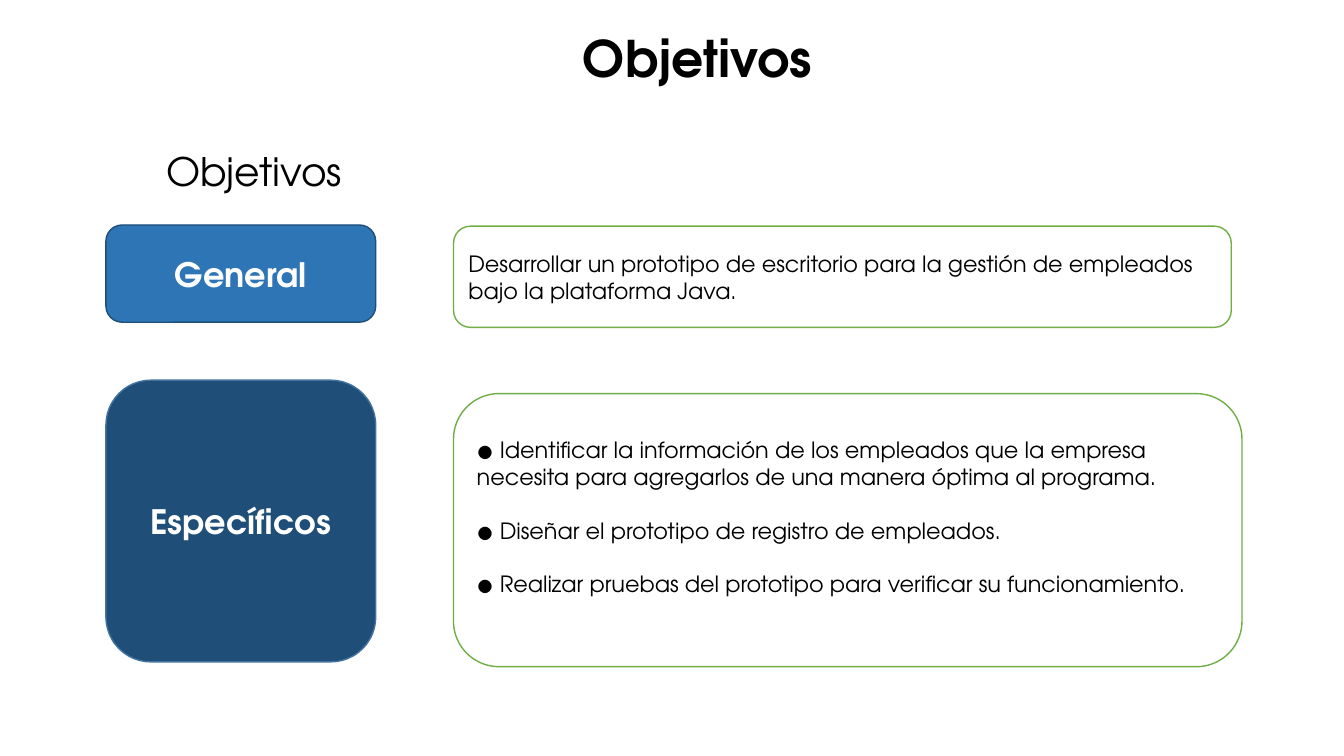
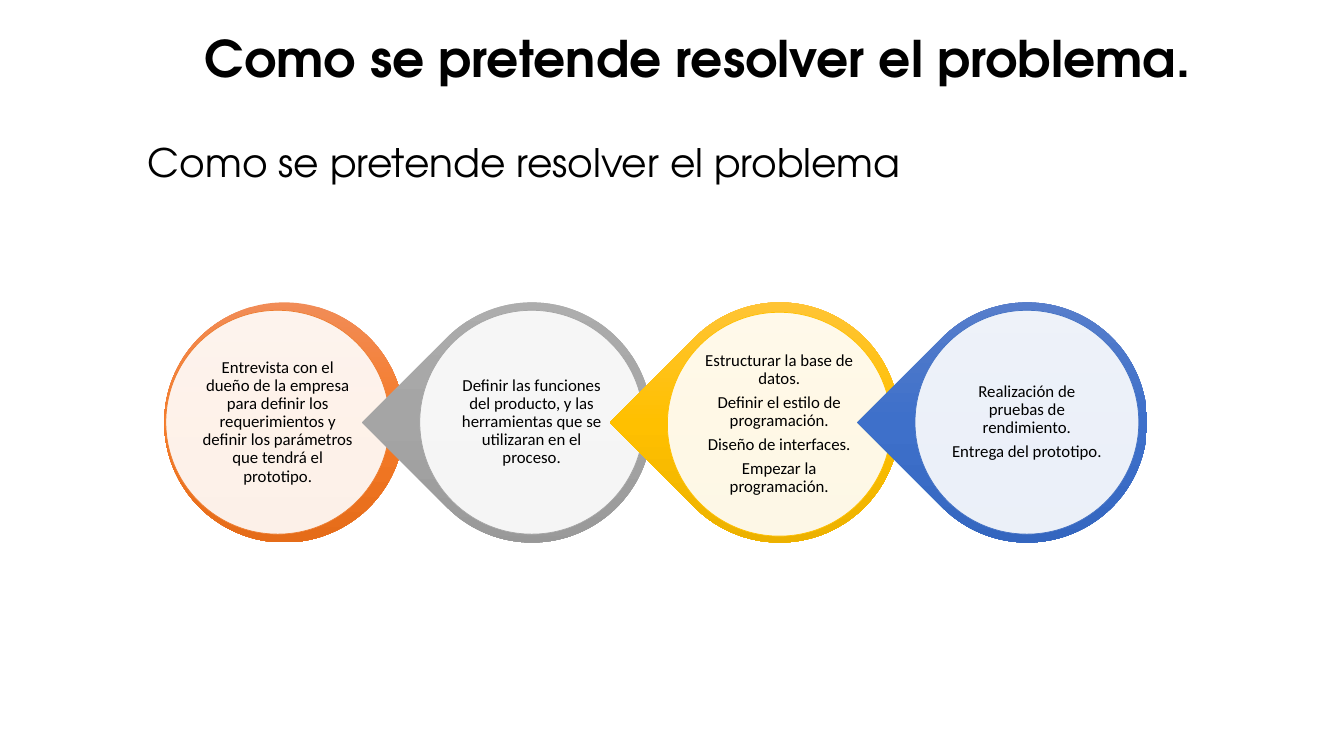
from copy import deepcopy

from lxml import etree
from pptx import Presentation
from pptx.dml.color import RGBColor
from pptx.enum.shapes import MSO_SHAPE
from pptx.enum.text import MSO_ANCHOR, PP_ALIGN
from pptx.oxml.ns import qn
from pptx.util import Cm, Pt

ROUNDED = MSO_SHAPE.ROUNDED_RECTANGLE
OVAL = MSO_SHAPE.OVAL
TEAR = MSO_SHAPE.TEAR
TOP = MSO_ANCHOR.TOP
MIDDLE = MSO_ANCHOR.MIDDLE
LEFT = PP_ALIGN.LEFT
CENTER = PP_ALIGN.CENTER

HEADING_FONT = "TeX Gyre Adventor"
STAGE_FONT = "Calibri"

COLORS = {
    "text": "000000",
    "white": "FFFFFF",
    "general": "2E75B6",
    "general_line": "1F4E79",
    "specific": "1F4E79",
    "specific_line": "43739E",
    "green": "70AD47",
    "orange": "ED7D31",
    "gray": "A5A5A5",
    "yellow": "FFC000",
    "blue": "4472C4",
}
GRADIENTS = {
    "orange": ("F18C57", "F67B28", "E56C19"),
    "gray": ("AFAFAF", "A5A5A5", "939393"),
    "yellow": ("FFC64B", "FFC000", "E3AB00"),
    "blue": ("6183CB", "3E70CA", "3062BB"),
}

# Stage chain geometry in cm
STAGE_LEFT, STAGE_TOP, STAGE_PITCH = 4.14, 7.62, 6.24
OUTER_SIZE, INNER_SIZE = 6.05, 5.64
RING = 0.2

# Colour, horizontal and vertical shift of the inner disc, texts
STAGES = [
    ("orange", -0.16, 0, [
        "Entrevista con el dueño de la empresa para definir los requerimientos "
        "y definir los parámetros que tendrá el prototipo."]),
    ("gray", 0, 0, [
        "Definir las funciones del producto, y las herramientas que se "
        "utilizaran en el proceso."]),
    ("yellow", 0, 0.05, [
        "Estructurar la base de datos.",
        "Definir el estilo de programación.",
        "Diseño de interfaces.",
        "Empezar la programación."]),
    ("blue", 0, 0, [
        "Realización de pruebas de rendimiento.",
        "Entrega del prototipo."]),
]


def rgb(name):
    return RGBColor.from_string(COLORS[name])


# Text
def write(shape, texts, size, font=HEADING_FONT, color="text", bold=False,
          align=LEFT, anchor=TOP, gap_before=0, gap_after=0, line_spacing=1.0):
    frame = shape.text_frame
    frame.word_wrap = True
    frame.vertical_anchor = anchor
    for index, text in enumerate(texts):
        paragraph = frame.add_paragraph() if index else frame.paragraphs[0]
        paragraph.alignment = align
        paragraph.line_spacing = line_spacing
        paragraph.space_before = Pt(gap_before if index else 0)
        paragraph.space_after = Pt(gap_after)
        run = paragraph.add_run()
        run.text = text
        run.font.name = font
        run.font.size = Pt(size)
        run.font.bold = bold
        run.font.color.rgb = rgb(color)


def add_text(slide, box, text, size, **style):
    shape = slide.shapes.add_textbox(*map(Cm, box))
    write(shape, [text], size, **style)


def add_slide(presentation, title, subtitle, subtitle_box):
    slide = presentation.slides.add_slide(presentation.slide_layouts[6])
    add_text(slide, (3.33, 0.56, 28.5, 1.8), title, 36, bold=True, align=CENTER)
    add_text(slide, subtitle_box, subtitle, 28)
    return slide


# Shapes
def add_shape(slide, kind, box, fill=None, line=None, line_width=1):
    shape = slide.shapes.add_shape(kind, *map(Cm, box))
    shape.shadow.inherit = False
    if fill:
        shape.fill.solid()
        shape.fill.fore_color.rgb = rgb(fill)
    if line:
        shape.line.color.rgb = rgb(line)
        shape.line.width = Pt(line_width)
    else:
        shape.line.fill.background()
    return shape


def add_label(slide, box, text, fill, line):
    shape = add_shape(slide, ROUNDED, box, fill, line)
    write(shape, [text], 24, color="white", bold=True, align=CENTER, anchor=MIDDLE)


def add_panel(slide, box, texts, gap=0, bottom_inset=0.13):
    shape = add_shape(slide, ROUNDED, box, "white", "green")
    shape.text_frame.margin_bottom = Cm(bottom_inset)
    write(shape, texts, 16, anchor=MIDDLE, gap_before=gap)


def fill_gradient(shape, colors):
    """Fill from top to bottom in three steps, whatever the rotation."""
    shape.fill.gradient()
    shape.fill.gradient_angle = 270
    gradient = shape._element.spPr.find(qn("a:gradFill"))
    gradient.set("rotWithShape", "0")
    stop_list = gradient.find(qn("a:gsLst"))
    stop_list.insert(1, deepcopy(stop_list[0]))
    for stop, position, color in zip(shape.fill.gradient_stops, (0, 0.5, 1), colors):
        stop.position = position
        stop.color.rgb = RGBColor.from_string(color)


def set_opacity(shape, percent):
    color = shape._element.spPr.find(qn("a:solidFill"))[0]
    etree.SubElement(color, qn("a:alpha")).set("val", str(percent * 1000))


def add_stage(slide, index, color, shift_x, shift_y, texts):
    left = STAGE_LEFT + index * STAGE_PITCH
    outer = add_shape(slide, TEAR if index else OVAL,
                      (left, STAGE_TOP, OUTER_SIZE, OUTER_SIZE))
    if index:
        outer.rotation = 225
    fill_gradient(outer, GRADIENTS[color])

    inner_box = (left + RING + shift_x, STAGE_TOP + RING + shift_y,
                 INNER_SIZE, INNER_SIZE)
    inner = add_shape(slide, OVAL, inner_box, "white", color, 0.5)
    set_opacity(inner, 90)
    frame = inner.text_frame
    frame.margin_left = frame.margin_right = Cm(0.05)
    frame.margin_top = frame.margin_bottom = Cm(0.05)
    write(inner, texts, 12, font=STAGE_FONT, align=CENTER, anchor=MIDDLE,
          gap_after=4.2, line_spacing=0.9)


# Slides
def build_objectives(presentation):
    slide = add_slide(presentation, "Objetivos", "Objetivos", (3.94, 3.58, 26, 1.6))
    add_label(slide, (2.67, 5.67, 6.8, 2.45), "General", "general", "general_line")
    add_label(slide, (2.67, 9.58, 6.8, 7.1), "Específicos", "specific", "specific_line")
    add_panel(slide, (11.43, 5.7, 19.6, 2.55), [
        "Desarrollar un prototipo de escritorio para la gestión de empleados "
        "bajo la plataforma Java."])
    add_panel(slide, (11.43, 9.92, 19.87, 6.88), [
        "● Identificar la información de los empleados que la empresa necesita "
        "para agregarlos de una manera óptima al programa.",
        "● Diseñar el prototipo de registro de empleados.",
        "● Realizar pruebas del prototipo para verificar su funcionamiento.",
    ], gap=19.2, bottom_inset=0.8)


def build_solution(presentation):
    slide = add_slide(presentation, "Como se pretende resolver el problema.",
                      "Como se pretende resolver el problema", (3.48, 3.35, 26, 1.6))
    for index, stage in enumerate(STAGES):
        add_stage(slide, index, *stage)


def main():
    presentation = Presentation()
    presentation.slide_width = Cm(33.87)
    presentation.slide_height = Cm(19.05)
    build_objectives(presentation)
    build_solution(presentation)
    presentation.save("out.pptx")


if __name__ == "__main__":
    main()
